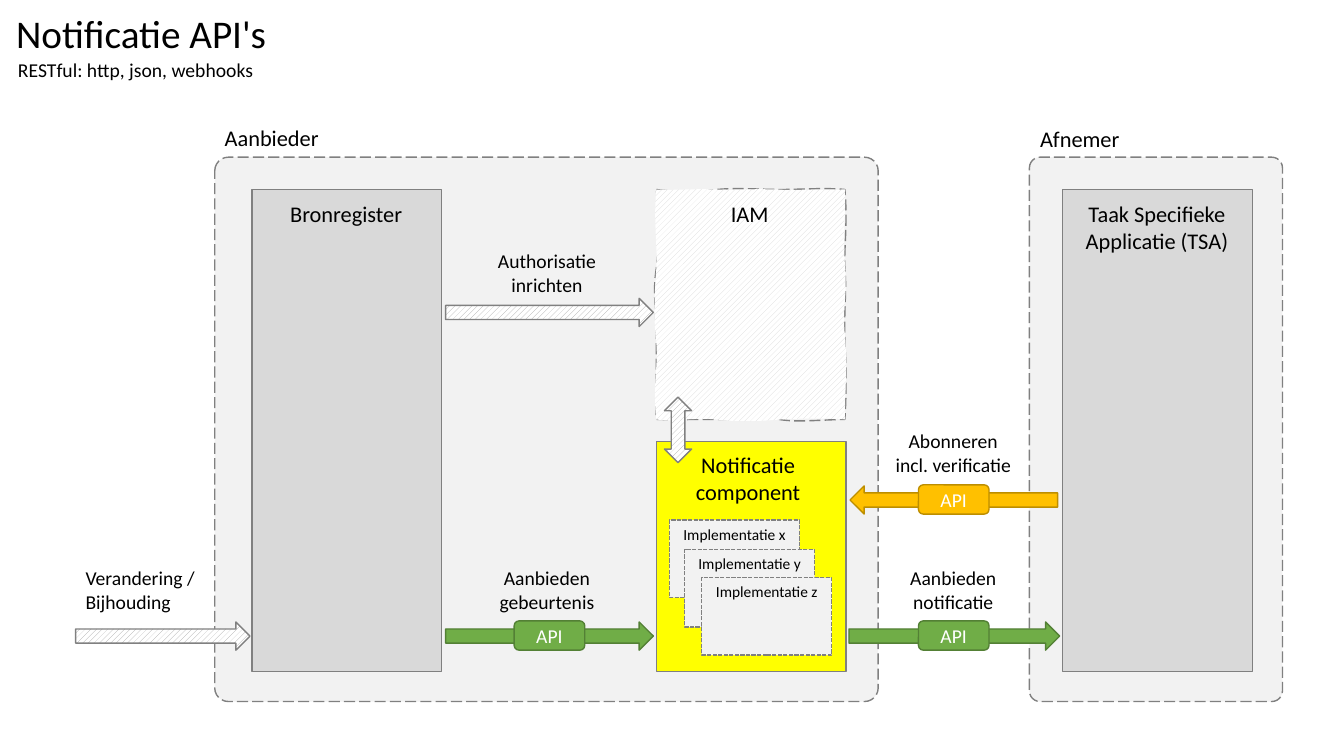
from lxml import etree
from pptx import Presentation
from pptx.dml.color import RGBColor
from pptx.enum.dml import MSO_LINE, MSO_PATTERN
from pptx.enum.shapes import MSO_SHAPE
from pptx.enum.text import MSO_ANCHOR, MSO_AUTO_SIZE, PP_ALIGN
from pptx.oxml.ns import qn
from pptx.util import Pt

PX = 9144  # 100 px to the inch
LEFT, CENTER = PP_ALIGN.LEFT, PP_ALIGN.CENTER
TOP, MIDDLE = MSO_ANCHOR.TOP, MSO_ANCHOR.MIDDLE
RECT, ROUND = MSO_SHAPE.RECTANGLE, MSO_SHAPE.ROUNDED_RECTANGLE
RIGHT_ARROW, UP_DOWN = MSO_SHAPE.RIGHT_ARROW, MSO_SHAPE.UP_DOWN_ARROW
LONG_DASH, SQUARE_DOT = MSO_LINE.LONG_DASH, MSO_LINE.SQUARE_DOT

BLACK, WHITE, GRAY, PALE, SILVER = "000000", "FFFFFF", "808080", "F2F2F2", "D9D9D9"
HATCH = ("A5A5A5", WHITE)
LIGHT_HATCH = (SILVER, WHITE)
GREEN, ORANGE = ("70AD47", "538035"), ("FFC000", "BD8E00")
HATCHED = (HATCH, GRAY)

TITLE = ("Notificatie API's", (6, 4, 271, 57))
SUBTITLE = ("RESTful: http, json, webhooks", (8, 53, 271, 34))

# box, corner radius / short side
PANELS = [((213, 156, 658, 540), 0.025), ((1021, 156, 251, 540), 0.042)]
# box, fill
BLOCKS = [((651, 438, 188, 228), "FFFF00"),
          ((250, 188, 188, 478), SILVER),
          ((1054, 188, 188, 478), SILVER)]
# text, box, alignment, wraps
HEADINGS = [("Aanbieder", (213, 118, 115, 37), LEFT, False),
            ("Afnemer", (1021, 119, 100, 37), CENTER, False),
            ("Bronregister", (278, 194, 133, 37), LEFT, False),
            ("IAM", (715, 194, 58, 37), LEFT, False),
            ("Taak Specifieke\nApplicatie (TSA)", (1066, 194, 163, 64), CENTER, False),
            ("Notificatie component", (664, 443, 156, 64), CENTER, True)]
# arrow left, top, width, rotation, colours, label, label box, alignment, has badge
FLOWS = [
    (75, 617, 173, 0, HATCHED, "Verandering / Bijhouding", (75, 557, 171), LEFT, False),
    (442, 617, 206, 0, GREEN, "Aanbieden gebeurtenis", (464, 557, 157), CENTER, True),
    (842, 617, 209, 0, GREEN, "Aanbieden notificatie", (867, 557, 157), CENTER, True),
    (843, 482, 206, 180, ORANGE, "Abonneren\nincl. verificatie", (867, 421, 157), CENTER, True),
    (442, 296, 206, 0, HATCHED, "Authorisatie inrichten", (464, 242, 157), CENTER, False),
]
ARROW_H, LABEL_H, BADGE_W, BADGE_H = 28, 57, 70, 29
IAM_ARROW = (659, 394, 27, 65)
IMPLEMENTATIONS = [("x", 664, 516), ("y", 679, 545), ("z", 696, 573)]
IMPLEMENTATION_SIZE = (129, 77)

# sketched IAM box: two handles and an end point per curve, from its top left corner
IAM_BOX = (651, 188, 188, 228)
IAM_OUTLINE = [
    (673, 191, 692, 190, 711, 188), (731, 186, 754, 188, 774, 188),
    (794, 188, 819, 186, 838, 188), (841, 221, 837, 247, 838, 266),
    (840, 286, 837, 309, 838, 336), (839, 363, 840, 384, 838, 416),
    (807, 417, 789, 419, 772, 416), (755, 414, 735, 417, 706, 416),
    (676, 416, 673, 417, 651, 416), (650, 393, 651, 378, 651, 343),
    (651, 307, 647, 290, 651, 266), (654, 243, 653, 204, 651, 188)]
IAM_FILL = [
    (669, 189, 688, 187, 711, 188), (735, 189, 742, 187, 768, 188),
    (794, 189, 804, 188, 838, 188), (839, 214, 836, 229, 838, 262),
    (841, 295, 835, 302, 838, 333), (841, 365, 838, 381, 838, 416),
    (818, 415, 800, 415, 776, 416), (752, 418, 733, 419, 709, 416),
    (686, 414, 664, 419, 651, 416), (647, 381, 653, 365, 651, 340),
    (648, 316, 649, 292, 651, 266), (652, 241, 648, 217, 651, 188)]


def rgb(color):
    return RGBColor.from_string(color)


def place(sp, box):
    sp.left, sp.top, sp.width, sp.height = (v * PX for v in box)


def paint(sp, fill, line, dash=None):
    """Fill with a colour or a (fore, back) hatch, and set the outline."""
    sp.shadow.inherit = False
    if isinstance(fill, tuple):
        sp.fill.patterned()
        sp.fill.pattern = MSO_PATTERN.WIDE_UPWARD_DIAGONAL
        sp.fill.fore_color.rgb, sp.fill.back_color.rgb = map(rgb, fill)
    else:
        sp.fill.solid()
        sp.fill.fore_color.rgb = rgb(fill)
    sp.line.color.rgb = rgb(line)
    sp.line.width = Pt(1)
    if dash:
        sp.line.dash_style = dash


def write(sp, text, size=14, color=BLACK, align=CENTER, anchor=TOP, wrap=True):
    tf = sp.text_frame
    tf.word_wrap, tf.auto_size, tf.vertical_anchor = wrap, MSO_AUTO_SIZE.NONE, anchor
    tf.text = text
    for p in tf.paragraphs:
        p.alignment = align
        for r in p.runs:
            r.font.name, r.font.size = "Calibri", Pt(size)
            r.font.color.rgb = rgb(color)


def add_shape(kind, box, fill, line, dash=None):
    sp = s.shapes.add_shape(kind, *(v * PX for v in box))
    paint(sp, fill, line, dash)
    return sp


def add_text(text, box, **fmt):
    write(s.shapes.add_textbox(*(v * PX for v in box)), text, **fmt)


def add_curves(outlines, box, **flags):
    """Append one closed contour of cubic curves, in px relative to the box."""
    x, y, w, h = box
    contour = etree.SubElement(outlines, qn("a:path"), w=str(w), h=str(h), **flags)

    def add_points(tag, values):
        step = etree.SubElement(contour, qn(tag))
        for px, py in zip(values[::2], values[1::2]):
            etree.SubElement(step, qn("a:pt"), x=str(px - x), y=str(py - y))

    return contour, add_points


def add_sketch(box, contours, fill, line, dash):
    """Build a freeform over the box and bend it into the given contours."""
    x, y, w, h = box
    builder = s.shapes.build_freeform(x, y, scale=PX)
    builder.add_line_segments([(x + w, y), (x + w, y + h), (x, y + h)], close=True)
    sp = builder.convert_to_shape()
    outlines = next(sp.element.iter(qn("a:pathLst")))
    outlines.clear()
    for curves, flags in contours:
        contour, add_points = add_curves(outlines, box, **flags)
        add_points("a:moveTo", (x, y))
        for curve in curves:
            add_points("a:cubicBezTo", curve)
        etree.SubElement(contour, qn("a:close"))
    paint(sp, fill, line, dash)


prs = Presentation()
prs.slide_width, prs.slide_height = 1333 * PX, 750 * PX
s = prs.slides.add_slide(prs.slide_layouts[5])

text, box = TITLE
place(s.shapes.title, box)
write(s.shapes.title, text, size=28, align=LEFT, wrap=False)
text, box = SUBTITLE
add_text(text, box, align=LEFT)

for box, radius in PANELS:
    add_shape(ROUND, box, PALE, GRAY, LONG_DASH).adjustments[0] = radius
for box, fill in BLOCKS:
    add_shape(RECT, box, fill, GRAY)
add_sketch(IAM_BOX, [(IAM_OUTLINE, {"fill": "none"}), (IAM_FILL, {"stroke": "0"})],
           LIGHT_HATCH, GRAY, LONG_DASH)
for text, box, align, wrap in HEADINGS:
    add_text(text, box, size=16, align=align, wrap=wrap)

for x, y, w, turn, colors, label, label_box, align, has_badge in FLOWS:
    add_shape(RIGHT_ARROW, (x, y, w, ARROW_H), *colors).rotation = turn
    add_text(label, (*label_box, LABEL_H), align=align)
    if has_badge:
        badge_box = (x + (w - BADGE_W) // 2, y - 1, BADGE_W, BADGE_H)
        badge = add_shape(ROUND, badge_box, *colors)
        write(badge, "API", color=WHITE, anchor=MIDDLE)
add_shape(UP_DOWN, IAM_ARROW, *HATCHED)

for name, x, y in IMPLEMENTATIONS:
    card = add_shape(RECT, (x, y, *IMPLEMENTATION_SIZE), PALE, GRAY, SQUARE_DOT)
    write(card, f"Implementatie {name}", size=11)

prs.save("out.pptx")
